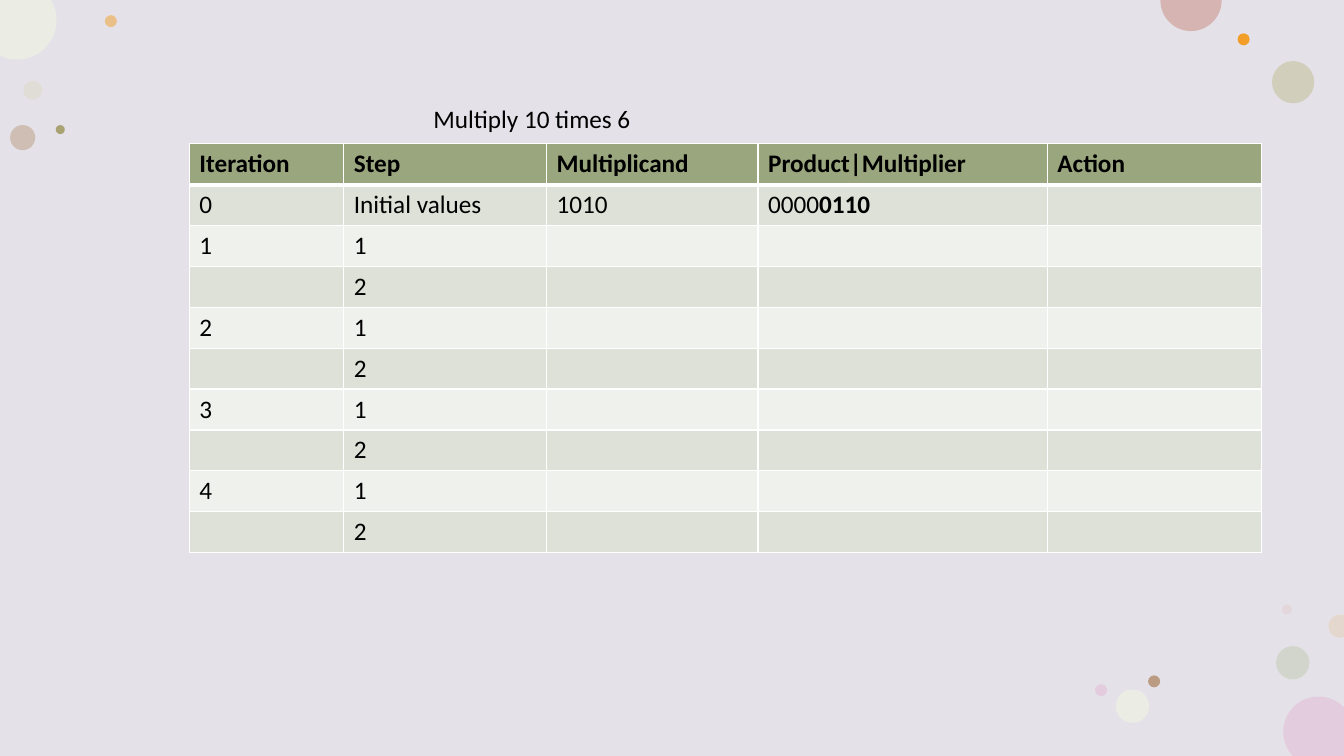
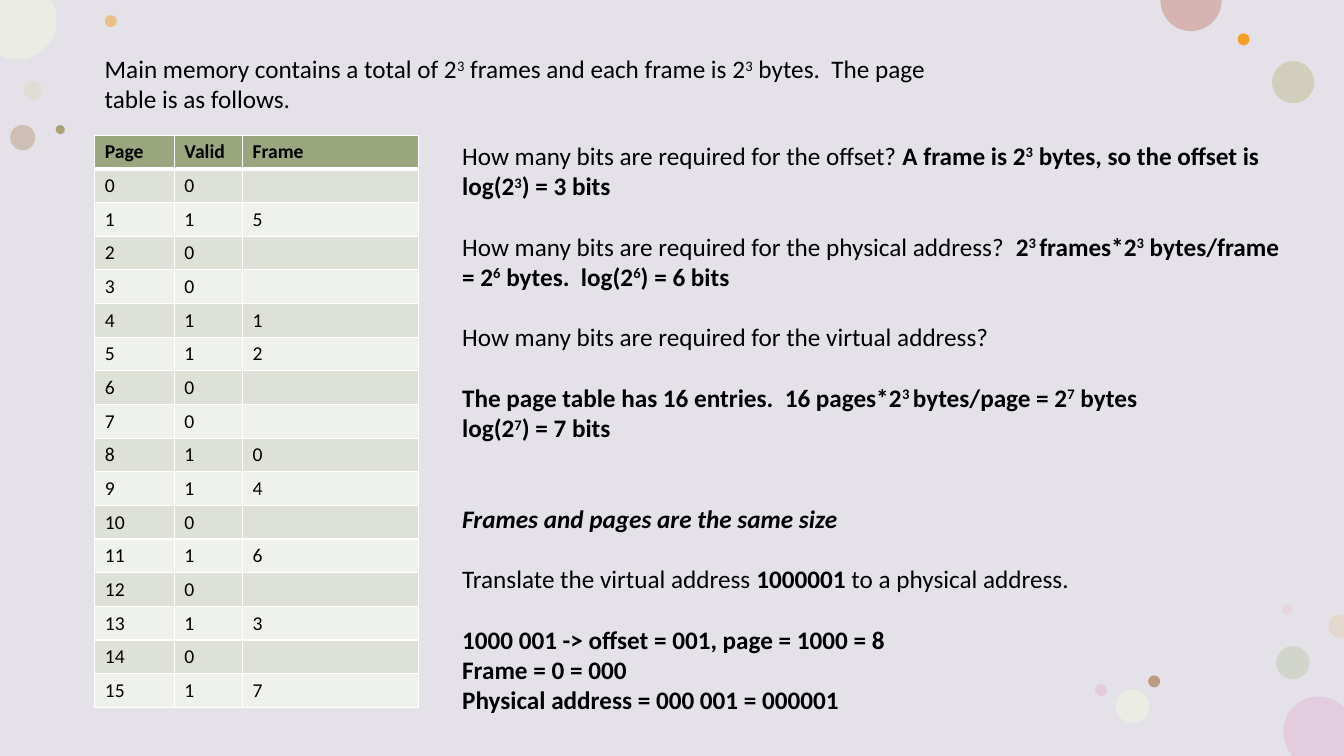
from math import asin, acos, cos, pi, sin, tan

from lxml import etree
from pptx import Presentation
from pptx.dml.color import RGBColor
from pptx.enum.shapes import MSO_SHAPE
from pptx.oxml.ns import qn
from pptx.util import Pt

OVAL = MSO_SHAPE.OVAL
RECTANGLE = MSO_SHAPE.RECTANGLE

# Shared look
WIDTH, HEIGHT = 960, 540
FONT = "Calibri"
INK = "000000"
BACKDROP = "E4E2E8"
HEADER = "9AA67D"
BANDS = ("DEE1D7", "EFF1EC")
BORDER = "FFFFFF"
LINE_GAP = 21.6  # one empty line between answers

# Bubbles around the edges: left, top, diameter, colour, opacity in percent
BUBBLES = [
    (16.6, 57.6, 13.7, "DDDAC7", 50),
    (74.9, 10.8, 8.6, "F39E29", 50),
    (911.5, 461.5, 23.8, "C2CAB1", 50),
    (7.2, 89.3, 18, "BB9B81", 50),
    (908.6, 43.6, 30.2, "CBC7AB", 72),
    (884, 23.8, 8.6, "F39E29", 100),
    (915.8, 431.8, 7.2, "E3BEBE", 28),
    (820.1, 482.4, 8.6, "BB9B81", 100),
    (797, 492.5, 23.8, "EBEDE5", 100),
    (782.2, 488.7, 8.6, "E3CCDE", 100),
    (916.6, 497.5, 50.4, "E3CCDE", 100),
    (-15.8, -13.7, 56.2, "EBEDE5", 100),
    (828.9, -21.5, 43.7, "D6B4B2", 100),
    (39.8, 89.3, 6.5, "A9A273", 100),
    (948.9, 439, 16.6, "E4D7CD", 100),
]

# Content; ** toggles bold and ^ toggles superscript
MULTIPLY_ROWS = [
    ["Iteration", "Step", "Multiplicand", "Product|Multiplier", "Action"],
    ["0", "Initial values", "1010", "0000**0110**", ""],
]
FRAMES = {1: 5, 4: 1, 5: 2, 8: 0, 9: 4, 11: 6, 13: 3, 15: 7}
MEMORY = ("Main memory contains a total of 2^3^ frames and each frame is "
          "2^3^ bytes.  The page table is as follows.")
# Text, empty lines above it, italic
ANSWERS = [
    ("How many bits are required for the offset? **A frame is 2^3^ bytes, "
     "so the offset is log(2^3^) = 3 bits**", 0, False),
    ("How many bits are required for the physical address?  **2^3 ^frames*2^3^ "
     "bytes/frame = 2^6^ bytes.  log(2^6^) = 6 bits**", 1, False),
    ("How many bits are required for the virtual address?", 1, False),
    ("**The page table has 16 entries.  16 pages*2^3 ^bytes/page = 2^7^ bytes**",
     1, False),
    ("**log(2^7^) = 7 bits**", 0, False),
    ("**Frames and pages are the same size**", 2, True),
    ("Translate the virtual address **1000001** to a physical address.", 1, False),
    ("**1000 001 -> offset = 001, page = 1000 = 8**", 1, False),
    ("**Frame = 0 = 000**", 0, False),
    ("**Physical address = 000 001 = 000001**", 0, False),
]


def set_fill(fill, colour):
    fill.solid()
    fill.fore_color.rgb = RGBColor.from_string(colour)


def write(para, text, size=18, bold=False, italic=False, gap=0):
    """Fill a paragraph from marked-up text."""
    if gap:
        para.space_before = Pt(gap)
    if not text:
        etree.SubElement(para._p, qn("a:endParaRPr"), sz=str(size * 100))
    for bold_index, part in enumerate(text.split("**")):
        for raised, words in enumerate(part.split("^")):
            if not words:
                continue
            span = para.add_run()
            span.text = words
            span.font.name = FONT
            span.font.size = Pt(size)
            span.font.bold = bold or bold_index % 2 == 1
            span.font.italic = italic
            span.font.color.rgb = RGBColor.from_string(INK)
            if raised % 2:
                span.font._element.set("baseline", "30000")


def add_text(page, left, top, width, height, paragraphs, wrap=True):
    box = page.shapes.add_textbox(Pt(left), Pt(top), Pt(width), Pt(height))
    frame = box.text_frame
    frame.word_wrap = wrap
    for index, (text, lines_above, italic) in enumerate(paragraphs):
        para = frame.add_paragraph() if index else frame.paragraphs[0]
        write(para, text, italic=italic, gap=lines_above * LINE_GAP)


def set_borders(cell, top, bottom):
    properties = cell._tc.get_or_add_tcPr()
    sides = (("L", 1), ("R", 1), ("T", top), ("B", bottom))
    for index, (side, weight) in enumerate(sides):
        line = etree.Element(qn(f"a:ln{side}"), w=str(Pt(weight)))
        fill = etree.SubElement(line, qn("a:solidFill"))
        etree.SubElement(fill, qn("a:srgbClr"), val=BORDER)
        properties.insert(index, line)


def add_grid(page, left, top, widths, row_height, rows, size):
    """Add a table with a header row and alternating bands."""
    table = page.shapes.add_table(
        len(rows), len(widths), Pt(left), Pt(top),
        Pt(sum(widths)), Pt(row_height * len(rows))).table
    for column, width in zip(table.columns, widths):
        column.width = Pt(width)
    for index, values in enumerate(rows):
        table.rows[index].height = Pt(row_height)
        header = index == 0
        for column, text in enumerate(values):
            cell = table.cell(index, column)
            set_fill(cell.fill, HEADER if header else BANDS[(index - 1) % 2])
            set_borders(cell, 3 if index == 1 else 1, 3 if header else 1)
            write(cell.text_frame.paragraphs[0], text, size=size, bold=header)


def add_cut_circle(page, left, top, diameter):
    """Add a circle with the part beyond the page edge cut off."""
    radius = diameter / 2
    middle_x, middle_y = left + radius, top + radius

    def spot(angle, reach=1.0, turn=0.0):
        """Point on the circle, moved along its tangent by turn."""
        return (middle_x + radius * (reach * cos(angle) - turn * sin(angle)),
                middle_y + radius * (reach * sin(angle) + turn * cos(angle)))

    def clamp(point):
        return (Pt(min(max(point[0], 0), WIDTH)),
                Pt(min(max(point[1], 0), HEIGHT)))

    # Split at the quadrants and where the circle crosses the page edges
    angles = {step * pi / 2 for step in range(5)}
    for edge in (0, WIDTH):
        if abs(edge - middle_x) < radius:
            crossing = acos((edge - middle_x) / radius)
            angles |= {crossing, 2 * pi - crossing}
    for edge in (0, HEIGHT):
        if abs(edge - middle_y) < radius:
            crossing = asin((edge - middle_y) / radius)
            angles |= {crossing % (2 * pi), pi - crossing}
    angles = sorted(angles)

    corners, controls = [clamp(spot(angles[0]))], []
    for start, end in zip(angles, angles[1:]):
        corner = clamp(spot(end))
        if corner == corners[-1]:
            continue
        x, y = spot((start + end) / 2)
        inside = 0 <= x <= WIDTH and 0 <= y <= HEIGHT
        pull = 4 / 3 * tan((end - start) / 4)
        corners.append(corner)
        controls.append([spot(start, turn=pull), spot(end, turn=-pull)]
                        if inside else [])

    builder = page.shapes.build_freeform(*corners[0])
    builder.add_line_segments(corners[1:], close=True)
    shape = builder.convert_to_shape()
    # Bend the sides that lie on the circle
    sides = list(shape.element.iter(qn("a:lnTo")))
    for side, handles in zip(sides, controls):
        if handles:
            side.tag = qn("a:cubicBezTo")
            for index, (x, y) in enumerate(handles):
                handle = etree.Element(qn("a:pt"), x=str(Pt(x) - shape.left),
                                       y=str(Pt(y) - shape.top))
                side.insert(index, handle)
    return shape


def paint(shape, colour, opacity=100):
    shape.shadow.inherit = False
    shape.line.fill.background()
    set_fill(shape.fill, colour)
    if opacity < 100:
        tint = shape.element.spPr.find(".//" + qn("a:srgbClr"))
        etree.SubElement(tint, qn("a:alpha"), val=str(opacity * 1000))
    return shape


def add_bubble(page, left, top, diameter, colour, opacity):
    inside = (left >= 0 and top >= 0 and left + diameter <= WIDTH
              and top + diameter <= HEIGHT)
    if inside:
        bubble = page.shapes.add_shape(
            OVAL, Pt(left), Pt(top), Pt(diameter), Pt(diameter))
    else:
        bubble = add_cut_circle(page, left, top, diameter)
    return paint(bubble, colour, opacity)


def decorate_layout(layout, page):
    """Draw the backdrop and bubbles, then move them to the layout."""
    for placeholder in list(layout.placeholders):
        layout.shapes.element.remove(placeholder.element)
    backdrop = page.shapes.add_shape(RECTANGLE, 0, 0, Pt(WIDTH), Pt(HEIGHT))
    decorations = [paint(backdrop, BACKDROP)]
    decorations += [add_bubble(page, *bubble) for bubble in BUBBLES]
    for decoration in decorations:
        layout.shapes.element.append(decoration.element)


def build_multiply(page):
    steps = [[str(iteration) if step == 1 else "", str(step), "", "", ""]
             for iteration in range(1, 5) for step in (1, 2)]
    add_grid(page, 135.3, 102.7, [110.3, 144.8, 151.1, 206.7, 153.2], 29.2,
             MULTIPLY_ROWS + steps, 18)
    add_text(page, 302.5, 70, 157, 29, [("Multiply 10 times 6", 0, False)],
             wrap=False)


def build_page_table(page):
    entries = [[str(number), str(int(number in FRAMES)),
                str(FRAMES.get(number, ""))] for number in range(16)]
    add_text(page, 67.7, 34.6, 639.4, 51, [(MEMORY, 0, False)])
    add_grid(page, 67.7, 96.6, [56.9, 48.6, 125.7], 24,
             [["Page", "Valid", "Frame"]] + entries, 14)
    add_text(page, 323, 96.6, 598.3, 422, ANSWERS)


def main():
    deck = Presentation()
    deck.slide_width, deck.slide_height = Pt(WIDTH), Pt(HEIGHT)
    layout = deck.slide_layouts[6]
    pages = [deck.slides.add_slide(layout) for _ in range(2)]
    decorate_layout(layout, pages[0])
    build_multiply(pages[0])
    build_page_table(pages[1])
    deck.save("out.pptx")


if __name__ == "__main__":
    main()
